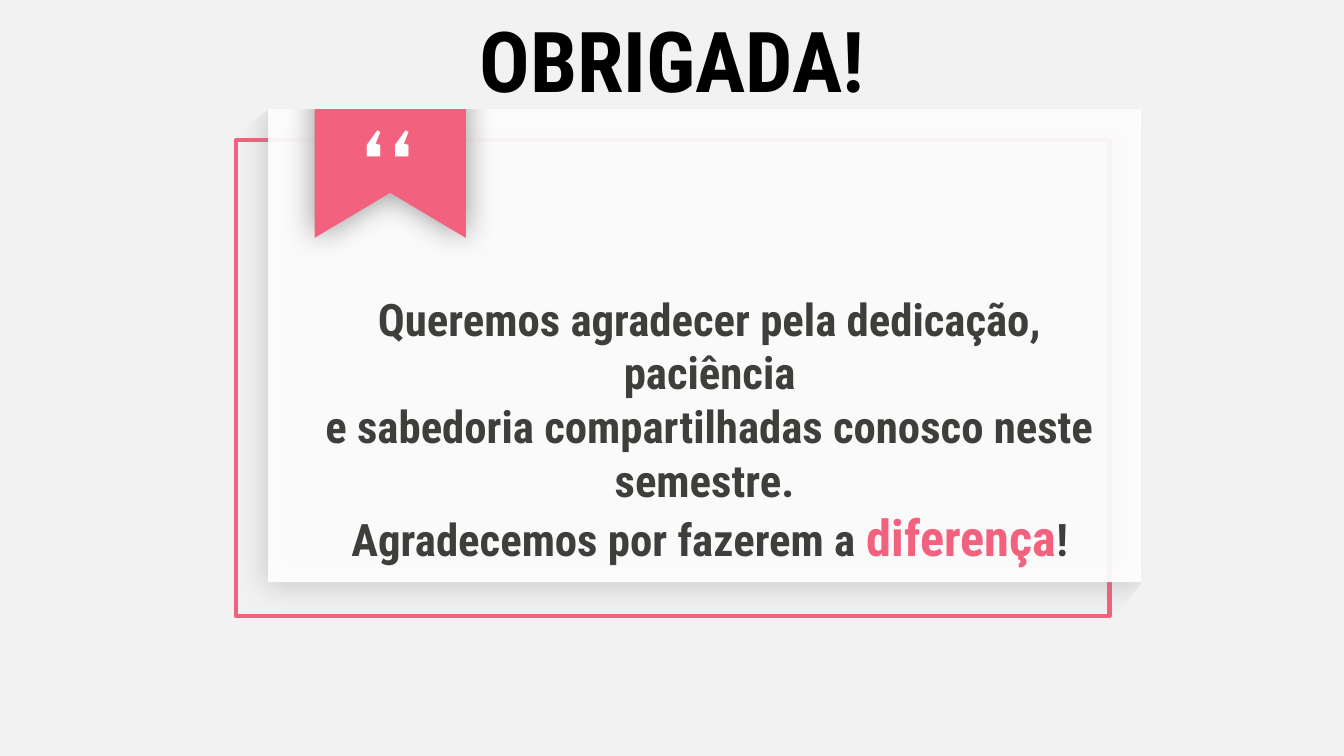
from pptx import Presentation
from pptx.dml.color import RGBColor
from pptx.enum.shapes import MSO_SHAPE as Kind
from pptx.enum.text import MSO_ANCHOR as Anchor, MSO_AUTO_SIZE as Fit, PP_ALIGN as Align
from pptx.oxml.ns import qn
from pptx.util import Inches, Pt
from lxml.etree import SubElement as Sub

WIDE, HIGH = 13.33, 7.5
ROSE, PALE, WHITE, DARK = "F2627E", "F2F2F2", "FFFFFF", "403E3B"
FACE = "Roboto Condensed"


def tint(code):
    return RGBColor.from_string(code)


def place(item, box):
    names = ("left", "top", "width", "height")
    for name, size in zip(names, box):
        setattr(item, name, Inches(size))


def draw(slide, kind, box, fill=None, turn=0, bend=None):
    item = slide.shapes.add_shape(kind, *map(Inches, box))
    item.shadow.inherit = False
    if fill:
        item.fill.solid()
        item.fill.fore_color.rgb = tint(fill)
    else:
        item.fill.background()
    item.line.fill.background()
    item.rotation = turn
    if bend is not None:
        item.adjustments[0] = bend
    return item


def shade(item, code, far, turn):
    group = item._element.spPr.find(qn("a:effectLst"))
    cast = Sub(group, qn("a:outerShdw"), blurRad=str(Pt(22)), dist=str(Pt(far)),
               dir=str(turn * 60000), algn="ctr", rotWithShape="0")
    hue = Sub(cast, qn("a:srgbClr"), val=code)
    Sub(hue, qn("a:alpha"), val="40000")


def write(item, rows, wrap=True, anchor=Anchor.TOP, align=Align.CENTER):
    frame = item.text_frame
    form = {"word_wrap": wrap, "auto_size": Fit.NONE, "vertical_anchor": anchor}
    for name, value in form.items():
        setattr(frame, name, value)
    for spot, row in enumerate(rows):
        para = frame.add_paragraph() if spot else frame.paragraphs[0]
        para.alignment = align
        for text, size, face, code, bold in row:
            run = para.add_run()
            run.text = text
            run.font.color.rgb = tint(code)
            for name, value in {"size": Pt(size), "name": face, "bold": bold}.items():
                setattr(run.font, name, value)


def card(slide, box):
    x, y, w, h = box
    edge = draw(slide, Kind.RECTANGLE, box)
    edge.line.color.rgb = tint(ROSE)
    edge.line.width = Pt(3)
    sheet = draw(slide, Kind.RECTANGLE, (x + 0.32, y - 0.34, w, h), WHITE)
    hue = sheet._element.spPr.find(qn("a:solidFill"))[0]
    Sub(hue, qn("a:alpha"), val="92000")
    shade(sheet, "808080", 3, 110)
    draw(slide, Kind.RECTANGLE, (x + w + 0.32, y - 0.53, 1.7, 5.78), PALE)
    draw(slide, Kind.ISOSCELES_TRIANGLE, (x - 0.11, y - 0.35, 0.4, 0.47), PALE, 90, 0)
    draw(slide, Kind.ISOSCELES_TRIANGLE, (x + w - 0.04, y + h - 0.29, 0.4, 0.32), PALE, 270, 0)


def flag(slide, box):
    mark = draw(slide, Kind.CHEVRON, box, ROSE, 270, 0.298)
    shade(mark, "000000", 0, 0)


def head(slide, box):
    title = slide.shapes.title
    place(title, box)
    title.fill.solid()
    title.fill.fore_color.rgb = tint(PALE)
    write(title, [[("OBRIGADA!", 60, FACE, "000000", True)]], anchor=Anchor.MIDDLE)
    slide.shapes._spTree.append(title._element)


def quote(slide, box):
    note = slide.shapes.add_textbox(*map(Inches, box))
    write(note, [[("“", 96, "Cabin", WHITE, False)]], wrap=False, align=Align.LEFT)


def thanks(slide, box):
    note = slide.shapes.add_textbox(*map(Inches, box))
    base = (32, FACE, DARK, True)
    write(note, [
        [("Queremos agradecer pela dedicação, paciência", *base)],
        [("e sabedoria compartilhadas conosco neste semestre. ", *base)],
        [("Agradecemos por fazerem a ", *base),
         ("diferença", 36, FACE, ROSE, True), ("!", *base)],
    ])


def main():
    deck = Presentation()
    deck.slide_width, deck.slide_height = Inches(WIDE), Inches(HIGH)
    slide = deck.slides.add_slide(deck.slide_layouts[5])
    slide.background.fill.solid()
    slide.background.fill.fore_color.rgb = tint(PALE)
    card(slide, (2.34, 1.39, WIDE * 0.65, HIGH * 0.63))
    flag(slide, (2.9, 0.64, 1.94, HIGH * 0.2))
    head(slide, (1.24, 0.09, 10.85, 0.99))
    quote(slide, (3.49, 0.91, 0.78, 1.72))
    thanks(slide, (2.81, 2.84, 8.46, 2.8))
    deck.save("out.pptx")


if __name__ == "__main__":
    main()
